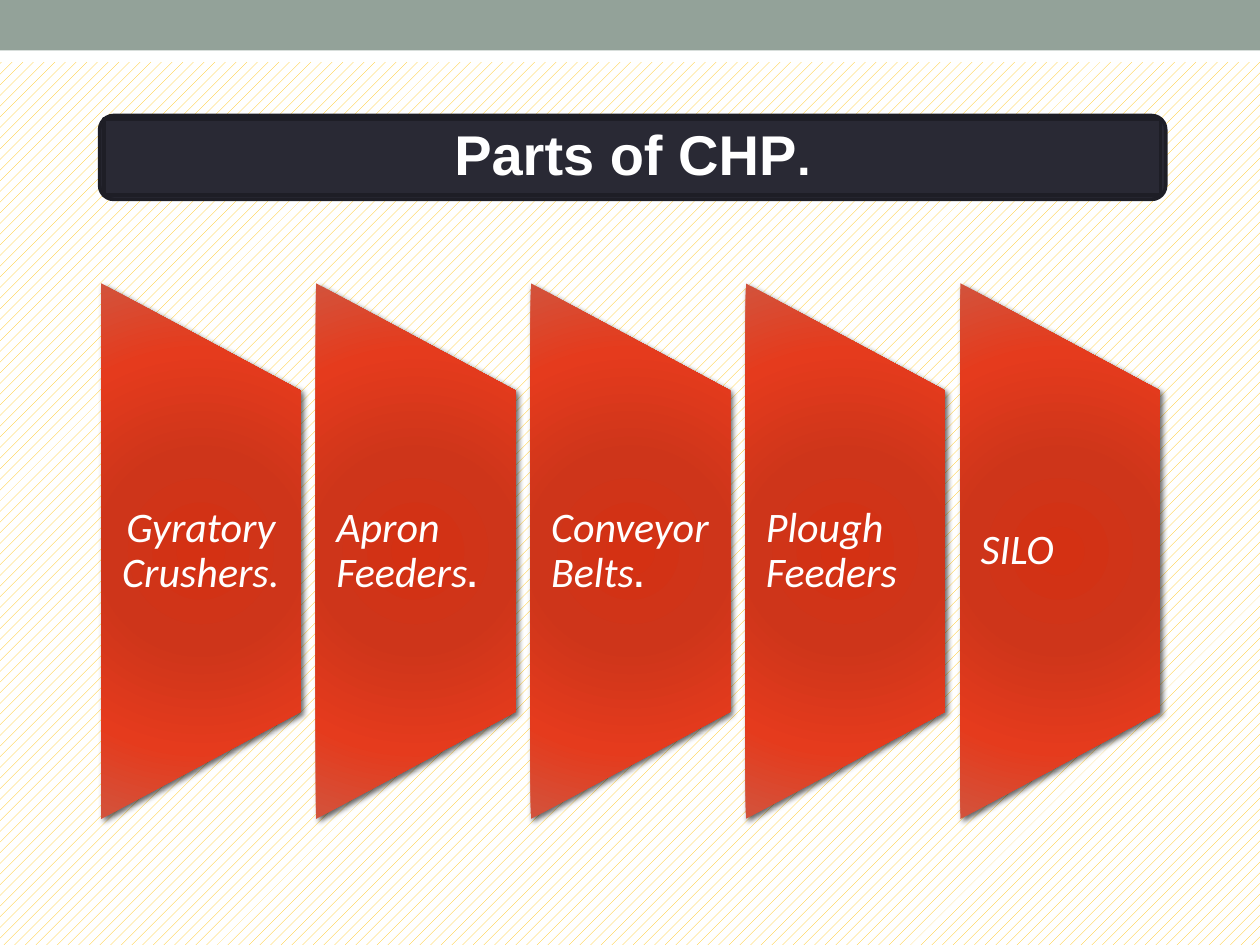
from pptx import Presentation
from pptx.dml.color import RGBColor
from pptx.enum.dml import MSO_PATTERN_TYPE as Pattern
from pptx.enum.shapes import MSO_SHAPE as Shape
from pptx.enum.text import MSO_ANCHOR as Anchor, PP_ALIGN as Align
from pptx.oxml import parse_xml
from pptx.oxml.ns import nsdecls
from pptx.util import Cm, Pt

COLORS = {
    "white": "FFFFFF", "hatch": "FFC000", "band": "93A299",
    "title": "292934", "title line": "1E1E26", "shadow": "000000",
}
RED_STOPS = [(0, "D43113"), (34, "CE351A"), (70, "E53B1D"), (100, "D2533C")]

# Run styles: font, size, bold, italic
TITLE, TITLE_DOT = ("Arial", 32, True, False), ("Arial", 28, True, False)
LABEL = ("Calibri", 24, False, True)
SMALL, MEDIUM = ("Arial", 20, True, False), ("Arial", 23, True, False)

PARTS = [
    (Align.CENTER, [("Gyratory Crushers.", LABEL)]),
    (Align.LEFT, [("Apron", LABEL), (" ", SMALL), ("Feeders", LABEL), (".", SMALL)]),
    (Align.LEFT, [("Conveyor", LABEL), (" ", SMALL), ("Belts", LABEL), (".", SMALL)]),
    (Align.LEFT, [("Plough", LABEL), (" ", MEDIUM), ("Feeders", LABEL)]),
    (Align.LEFT, [("SILO", LABEL)]),
]


def color(name):
    return RGBColor.from_string(COLORS[name])


class SlideBuilder:
    def __init__(self, slide):
        self.slide = slide

    def background(self):
        fill = self.slide.background.fill
        fill.patterned()
        fill.pattern = Pattern.PERCENT_20
        fill.fore_color.rgb = color("hatch")
        fill.back_color.rgb = color("white")

    def group(self):
        return self.slide.shapes.add_group_shape().shapes

    def block(self, shapes, kind, place, fill, line=None):
        box = shapes.add_shape(kind, *map(Cm, place))
        box.shadow.inherit = False
        box.fill.solid()
        box.fill.fore_color.rgb = color(fill)
        if line:
            box.line.color.rgb = color(line)
            box.line.width = Pt(2.08)
        else:
            box.line.fill.background()
        return box

    def panel(self, shapes, center_x, center_y, width, height):
        """Trapezoid turned on its side, with a radial gradient and a shadow."""
        place = (center_x - height / 2, center_y - width / 2, height, width)
        panel = shapes.add_shape(Shape.FLOWCHART_MANUAL_OPERATION, *map(Cm, place))
        panel.rotation = 270
        panel.line.fill.background()
        panel.shadow.inherit = False
        stops = "".join(
            f'<a:gs pos="{at * 1000}"><a:srgbClr val="{tone}"/></a:gs>'
            for at, tone in RED_STOPS)
        properties = panel._element.spPr
        properties.insert(2, parse_xml(
            f'<a:gradFill {nsdecls("a")} rotWithShape="1"><a:gsLst>{stops}</a:gsLst>'
            '<a:path path="circle"><a:fillToRect l="100000" t="100000" '
            'r="100000" b="100000"/></a:path></a:gradFill>'))
        properties[-1].append(parse_xml(
            f'<a:outerShdw {nsdecls("a")} blurRad="{Pt(3)}" dist="{Pt(2)}" '
            f'dir="2700000" rotWithShape="0"><a:srgbClr val="{COLORS["shadow"]}">'
            '<a:alpha val="60000"/></a:srgbClr></a:outerShdw>'))

    def text(self, box, spans, align, margin_x, margin_y):
        frame = box.text_frame
        frame.word_wrap = True
        frame.vertical_anchor = Anchor.MIDDLE
        frame.margin_left = frame.margin_right = Cm(margin_x)
        frame.margin_top = frame.margin_bottom = Cm(margin_y)
        para = frame.paragraphs[0]
        para.alignment = align
        para.line_spacing = 0.9
        for words, (font, size, bold, italic) in spans:
            span = para.add_run()
            span.text = words
            span.font.name = font
            span.font.size = Pt(size)
            span.font.bold = bold
            span.font.italic = italic
            span.font.color.rgb = color("white")


def main():
    deck = Presentation()
    deck.slide_width, deck.slide_height = Cm(25.4), Cm(19.05)
    page = deck.slides.add_slide(deck.slide_layouts[6])
    builder = SlideBuilder(page)

    # Background and top band
    builder.background()
    builder.block(page.shapes, Shape.RECTANGLE, (0, 0.61, 25.4, 0.64), "white")
    builder.block(page.shapes, Shape.RECTANGLE, (0, 0, 25.4, 1.02), "band")

    # Title
    title = builder.group()
    builder.block(title, Shape.ROUNDED_RECTANGLE, (2.01, 2.33, 21.49, 1.69),
                  "title", "title line")
    box = builder.block(title, Shape.RECTANGLE, (2.1, 2.4, 21.3, 1.53),
                        "title", "title line")
    builder.text(box, [("Parts of CHP", TITLE), (".", TITLE_DOT)],
                 Align.CENTER, 0.3, 0.15)

    # Row of part panels
    left, pitch, width, height = 2.04, 4.33, 4.02, 10.8
    center_y, text_height = 11.11, 6.48
    row = builder.group()
    for index, (align, spans) in enumerate(PARTS):
        x = left + index * pitch
        builder.panel(row, x + width / 2, center_y, width, height)
        place = (x, center_y - text_height / 2, width, text_height)
        box = row.add_textbox(*map(Cm, place))
        builder.text(box, spans, align, 0.41, 0)

    deck.save("out.pptx")


if __name__ == "__main__":
    main()
